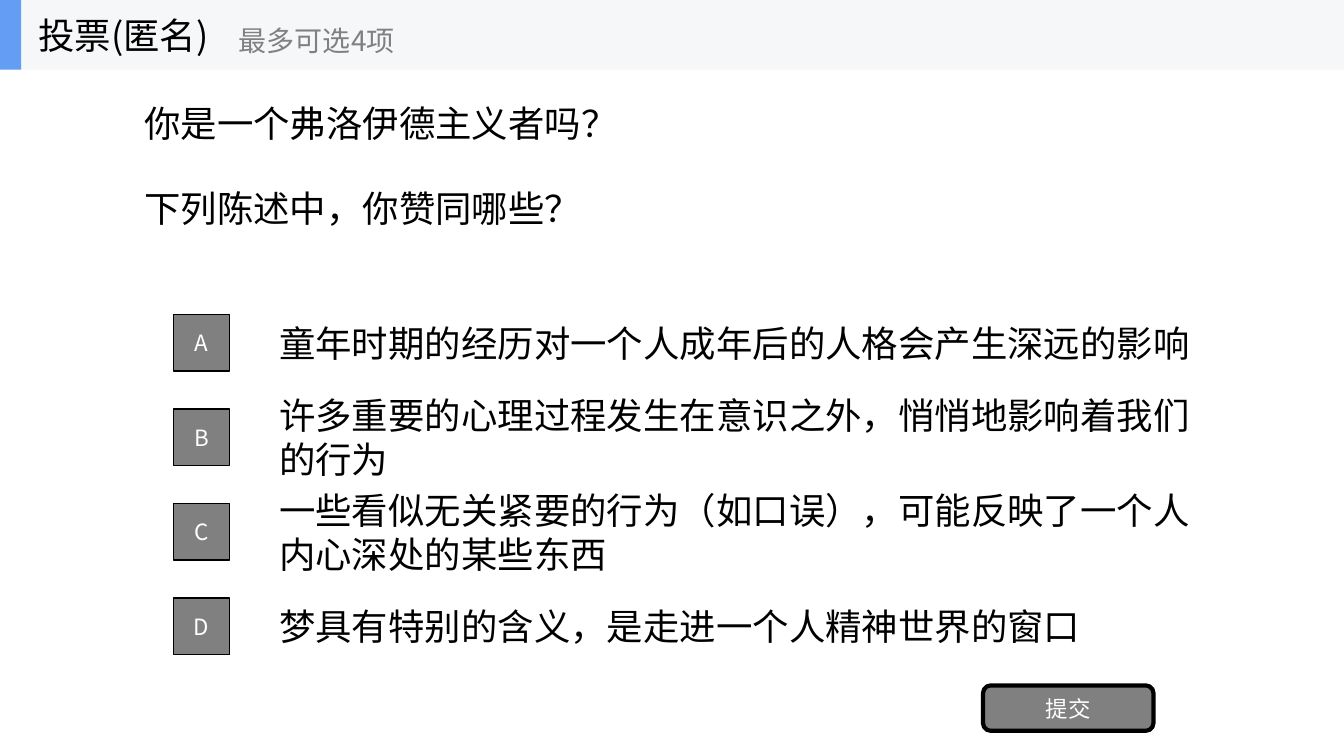
"""Build an anonymous poll slide with four options and a submit button."""
from pptx import Presentation
from pptx.dml.color import RGBColor
from pptx.enum import shapes, text
from pptx.oxml.ns import qn
from pptx.util import Inches, Pt
from lxml import etree

FONT = "Noto Sans CJK SC"
BLACK, GREY, WHITE = "000000", "808080", "FFFFFF"
PALE, BLUE = "F6F7F8", "639EF4"
QUESTION = ["你是一个弗洛伊德主义者吗？", "下列陈述中，你赞同哪些？"]
OPTIONS = {
    "A": "童年时期的经历对一个人成年后的人格会产生深远的影响",
    "B": "许多重要的心理过程发生在意识之外，悄悄地影响着我们的行为",
    "C": "一些看似无关紧要的行为（如口误），可能反映了一个人内心深处的某些东西",
    "D": "梦具有特别的含义，是走进一个人精神世界的窗口",
}
HEADER_LABELS = [
    ("投票(匿名)", (0.28, 0, 2.08, 0.69), 26, BLACK),
    ("最多可选4项", (2.27, 0.12, 2.5, 0.56), 20, GREY),
]
SUBMIT = "提交"

OPTION_TOP, OPTION_STEP, OPTION_HEIGHT = 3.05, 0.9375, 0.7
BADGE_SIZE = 0.56
HEADER_HEIGHT = 0.69


def color(value):
    return RGBColor.from_string(value)


def write(shape, lines, size, ink, align=text.PP_ALIGN.LEFT, wrap=True):
    frame = shape.text_frame
    frame.text = "\n".join(lines)
    frame.word_wrap = wrap
    frame.auto_size = text.MSO_AUTO_SIZE.NONE
    frame.vertical_anchor = text.MSO_ANCHOR.MIDDLE
    for index, paragraph in enumerate(frame.paragraphs):
        paragraph.alignment = align
        paragraph.line_spacing = Pt(size * 1.2)
        paragraph.space_before = Pt(30 if index else 0)
        font = paragraph.font
        font.name, font.size = FONT, Pt(size)
        font.color.rgb = color(ink)
        defaults = paragraph._p.pPr.find(qn("a:defRPr"))
        etree.SubElement(defaults, qn("a:ea"), typeface=FONT)


def add_label(slide, content, box, size, ink, wrap=True):
    shape = slide.shapes.add_textbox(*map(Inches, box))
    write(shape, [content], size, ink, wrap=wrap)


def add_block(slide, kind, box, fill, line_width=0, content=""):
    shape = slide.shapes.add_shape(kind, *map(Inches, box))
    shape.shadow.inherit = False
    shape.fill.solid()
    shape.fill.fore_color.rgb = color(fill)
    if line_width:
        shape.line.color.rgb = color(BLACK)
        shape.line.width = Pt(line_width)
    else:
        shape.line.fill.background()
    if content:
        write(shape, [content], 16, WHITE, text.PP_ALIGN.CENTER)


def main():
    presentation = Presentation()
    presentation.slide_width = Inches(13.33)
    presentation.slide_height = Inches(7.5)
    slide = presentation.slides.add_slide(presentation.slide_layouts[5])
    rectangle = shapes.MSO_SHAPE.RECTANGLE

    title = slide.shapes.title
    title.left, title.top, title.width, title.height = map(
        Inches, (1.33, 0.47, 10.67, 2.34))
    write(title, QUESTION, 26, BLACK)

    for index, (letter, statement) in enumerate(OPTIONS.items()):
        top = OPTION_TOP + index * OPTION_STEP
        badge_top = top + (OPTION_HEIGHT - BADGE_SIZE) / 2
        add_label(slide, statement, (2.67, top, 9.33, OPTION_HEIGHT), 26, BLACK)
        add_block(slide, rectangle, (1.72, badge_top, BADGE_SIZE, BADGE_SIZE),
                  GREY, 1, letter)

    add_block(slide, shapes.MSO_SHAPE.ROUNDED_RECTANGLE,
              (9.75, 6.8, 1.69, 0.45), GREY, 3, SUBMIT)

    for width, fill in ((13.33, PALE), (0.21, BLUE)):
        add_block(slide, rectangle, (0, 0, width, HEADER_HEIGHT), fill)
    for content, box, size, ink in HEADER_LABELS:
        add_label(slide, content, box, size, ink, wrap=False)

    presentation.save("out.pptx")


if __name__ == "__main__":
    main()
